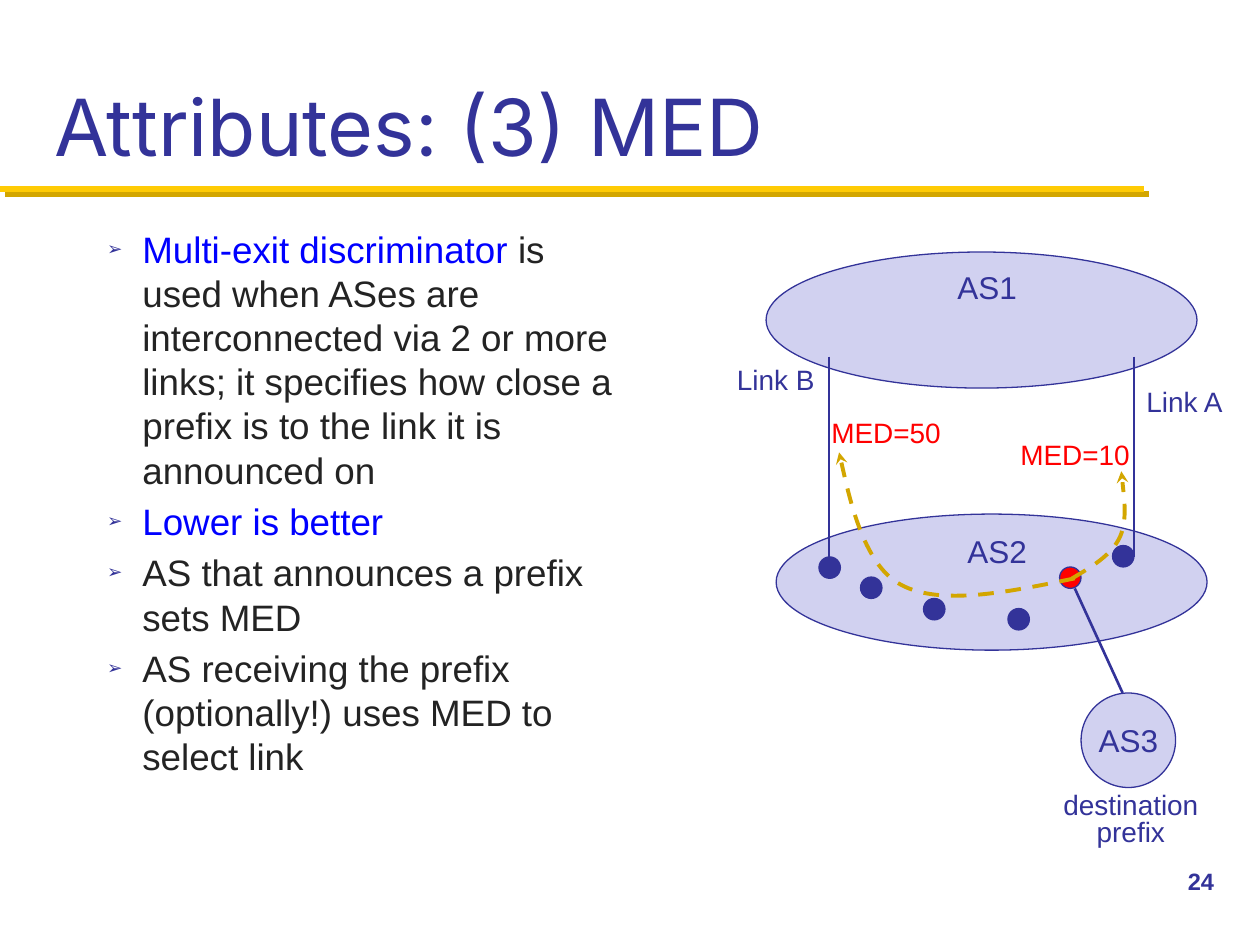
from lxml import etree
from pptx import Presentation
from pptx.dml.color import RGBColor
from pptx.enum.dml import MSO_LINE_DASH_STYLE as DASH
from pptx.enum.shapes import MSO_CONNECTOR as CONN, MSO_SHAPE as SHAPE
from pptx.enum.text import MSO_ANCHOR as ANCHOR, MSO_AUTO_SIZE as AUTO, PP_ALIGN as ALIGN
from pptx.oxml import parse_xml
from pptx.oxml.ns import nsdecls, qn
from pptx.util import Inches, Pt

NAVY = RGBColor(0x33, 0x33, 0x99)
LILAC = RGBColor(0xD1, 0xD1, 0xF0)
YELLOW = RGBColor(0xFF, 0xCB, 0x05)
GOLD = RGBColor(0xD3, 0xA6, 0x00)
BLUE = RGBColor(0x00, 0x00, 0xFF)
RED = RGBColor(0xFF, 0x00, 0x00)
INK = RGBColor(0x23, 0x23, 0x23)

BULLETS = [
    [("Multi-exit discriminator ", BLUE),
     ("is used when ASes are interconnected via 2 or more links; it specifies "
      "how close a prefix is to the link it is announced on", INK)],
    [("Lower is better", BLUE)],
    [("AS that announces a prefix sets MED", INK)],
    [("AS receiving the prefix (optionally!) uses MED to select link", INK)],
]


def set_font(font, size, color, name="Arial", bold=None):
    font.size, font.name, font.bold = Pt(size), name, bold
    font.color.rgb = color


def place(shape, x, y, w, h):
    shape.left, shape.top, shape.width, shape.height = map(Inches, (x, y, w, h))


def add_line(s, x1, y1, x2, y2, color=NAVY, width=1.5):
    line = s.shapes.add_connector(CONN.STRAIGHT, *map(Inches, (x1, y1, x2, y2)))
    line.line.color.rgb, line.line.width = color, Pt(width)
    effects = etree.SubElement(line._element.spPr, qn("a:effectLst"))
    return effects


def add_ellipse(s, x, y, w, h, fill=LILAC):
    sp = s.shapes.add_shape(SHAPE.OVAL, *map(Inches, (x, y, w, h)))
    sp.shadow.inherit = False
    sp.fill.solid()
    sp.fill.fore_color.rgb = fill
    sp.line.color.rgb, sp.line.width = NAVY, Pt(0.75)


def add_label(s, text, x, y, w, h=0.37, size=16, color=NAVY, bold=None):
    tf = s.shapes.add_textbox(*map(Inches, (x, y, w, h))).text_frame
    tf.word_wrap = False
    p = tf.paragraphs[0]
    p.text = text
    set_font(p.font, size, color, bold=bold)
    return p


def add_route(s, x, y, points):
    (x0, y0), *rest = [(Inches(x + a), Inches(y + b)) for a, b in points]
    builder = s.shapes.build_freeform(x0, y0)
    builder.add_line_segments(rest, close=False)
    sp = builder.convert_to_shape()
    sp.shadow.inherit = False
    sp.fill.background()
    sp.line.color.rgb, sp.line.width = GOLD, Pt(2.25)
    sp.line.dash_style = DASH.DASH
    etree.SubElement(sp.line._get_or_add_ln(), qn("a:tailEnd"), type="stealth")
    segments = list(sp._element.iter(qn("a:lnTo")))
    for i in range(0, len(segments), 3):
        curve = etree.Element(qn("a:cubicBezTo"))
        segments[i].addprevious(curve)
        for segment in segments[i:i + 3]:
            curve.append(segment[0])
            segment.getparent().remove(segment)


def add_title(s, x, y, w, h):
    title = s.shapes.title
    place(title, x, y, w, h)
    tf = title.text_frame
    tf.auto_size, tf.vertical_anchor = AUTO.NONE, ANCHOR.BOTTOM
    p = tf.paragraphs[0]
    p.text, p.alignment = "Attributes: (3) MED", ALIGN.LEFT
    set_font(p.font, 45, NAVY, "Inter")
    effects = add_line(s, 0, y + 1.33, 9.08, y + 1.33, YELLOW, 3.5)
    effects.append(parse_xml(
        f'<a:outerShdw {nsdecls("a")} dist="{Pt(4.2)}" dir="2700000" algn="ctr" '
        f'rotWithShape="0"><a:srgbClr val="{GOLD}"/></a:outerShdw>'))


def add_body(s, x, y, w, h):
    body = s.placeholders[1]
    place(body, x, y, w, h)
    tf = body.text_frame
    tf.auto_size = AUTO.NONE
    for i, parts in enumerate(BULLETS):
        p = tf.paragraphs[0] if i == 0 else tf.add_paragraph()
        p.font.size, p.font.name = Pt(21), "Arial"
        for text, color in parts:
            r = p.add_run()
            r.text = text
            r.font.color.rgb = color
        pPr = p._p.get_or_add_pPr()
        pPr.set("marL", str(Inches(0.28)))
        pPr.set("indent", str(-Inches(0.28)))
        bullet = (f'<a:buClr {nsdecls("a")}><a:srgbClr val="{NAVY}"/></a:buClr>',
                  f'<a:buSzPct {nsdecls("a")} val="50000"/>',
                  f'<a:buChar {nsdecls("a")} char="\u27a2"/>')
        for n, xml in enumerate(bullet):
            pPr.insert(n, parse_xml(xml))


def add_diagram(s, x, y):
    for dx, dy in [(0.33, 0), (0.41, 2.08)]:
        add_ellipse(s, x + dx, y + dy, 3.42, 1.08)
    for dx in (0.83, 3.25):
        add_line(s, x + dx, y + 0.83, x + dx, y + 2.42)
    for dx, dy, color in [(0.75, 2.42, NAVY), (1.08, 2.58, NAVY), (2.25, 2.83, NAVY),
                          (2.66, 2.5, RED), (3.08, 2.33, NAVY), (1.58, 2.75, NAVY)]:
        add_ellipse(s, x + dx, y + dy, 0.17, 0.17, color)
    for text, dx, dy, w, color in [("Link B", 0, 0.83, 0.82, NAVY),
                                   ("Link A", 3.25, 1, 0.84, NAVY),
                                   ("MED=10", 2.25, 1.42, 1.08, RED),
                                   ("MED=50", 0.75, 1.25, 1.08, RED)]:
        add_label(s, text, x + dx, y + dy, w, color=color)
    add_ellipse(s, x + 2.83, y + 3.5, 0.75, 0.75)
    for text, dx, dy in [("AS1", 1.75, 0.08), ("AS2", 1.83, 2.17), ("AS3", 2.87, 3.67)]:
        add_label(s, text, x + dx, y + dy, 0.68, 0.4, 18)
    add_line(s, x + 2.78, y + 2.67, x + 3.16, y + 3.5)
    p = add_label(s, "destination\vprefix", x + 2.55, y + 4.25, 1.35, 0.53)
    p.alignment, p.line_spacing = ALIGN.CENTER, 0.8
    add_route(s, x, y, [(2.78, 2.59), (2.25, 2.7), (1.71, 2.81), (1.4, 2.64),
                        (1.09, 2.48), (0.91, 1.59), (0.91, 1.59)])
    add_route(s, x, y, [(2.76, 2.59), (2.91, 2.5), (3.07, 2.41), (3.14, 2.26),
                        (3.2, 2.12), (3.15, 1.74), (3.15, 1.74)])


prs = Presentation()
prs.slide_width, prs.slide_height = Inches(10), Inches(7.5)
s = prs.slides.add_slide(prs.slide_layouts[1])
add_title(s, 0.33, 0.17, 9.33, 1.25)
add_body(s, 0.75, 1.75, 4.25, 4.83)
add_diagram(s, 5.75, 2)
add_label(s, "24", 9.33, 6.83, 0.67, 0.5, 13.5, bold=True)
prs.save("out.pptx")
